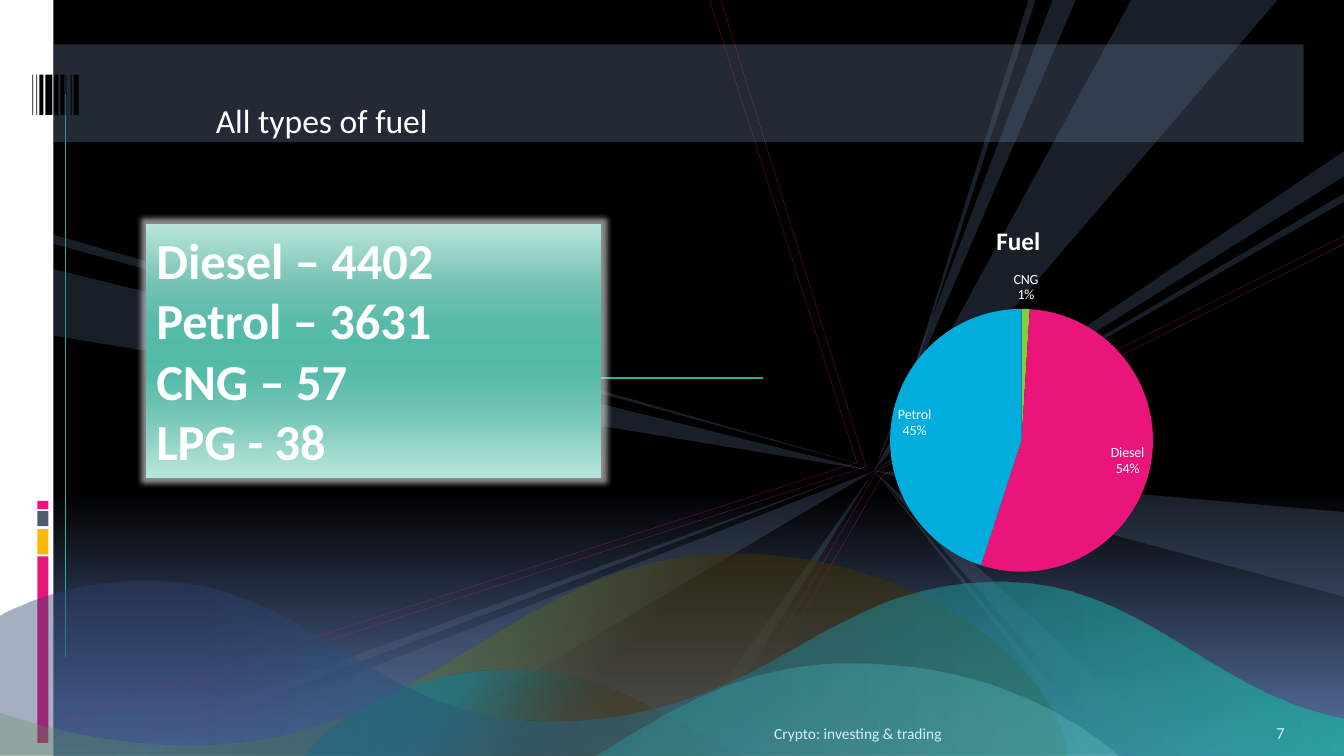
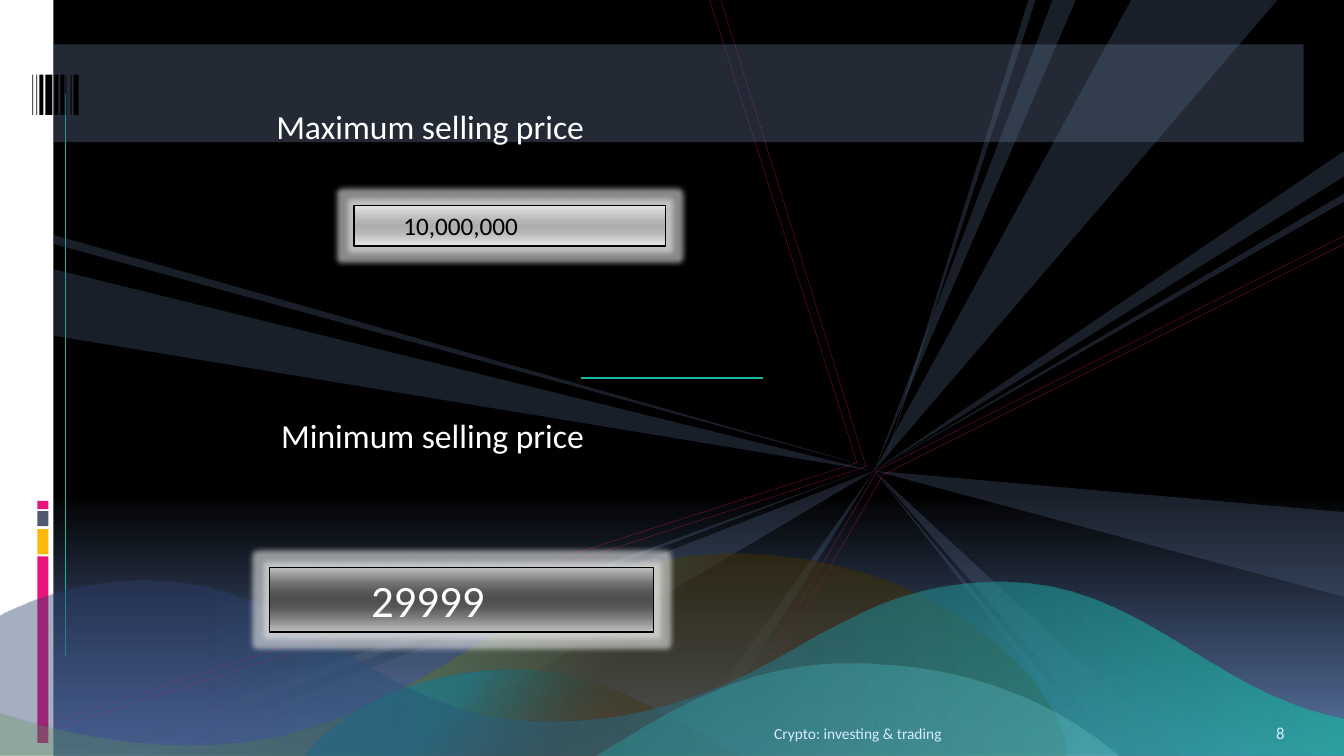
import lxml.etree
import pptx
import pptx.chart.data
import pptx.dml.color
import pptx.enum.chart
import pptx.enum.shapes
import pptx.enum.text
import pptx.oxml.ns
import pptx.util

Inches, Pt, qn = pptx.util.Inches, pptx.util.Pt, pptx.oxml.ns.qn
ALIGN, ANCHOR = pptx.enum.text.PP_ALIGN, pptx.enum.text.MSO_ANCHOR

FONT = "Calibri"
BLACK, WHITE, PALE = "000000", "FFFFFF", "D6ECFF"
PINK, GOLD, SLATE, TEAL = "EA157A", "FEB80A", "4E5B6F", "1AB39F"
GREEN, BLUE, RAY, BAND, BROWN = "7FD13B", "00ADDC", "566989", "586A86", "422F00"
FOOTER = "Crypto: investing & trading"
HUB = 4.67

# left, top, width, height, colour
STRIPES = [
    (0, 0, 0.53, 7.5, WHITE),
    (0.37, 5.52, 0.11, 1.85, PINK),
    (0.37, 5.25, 0.11, 0.25, GOLD),
    (0.37, 5.07, 0.11, 0.15, SLATE),
    (0.37, 4.97, 0.11, 0.08, PINK),
]
# left, width
BARS = [(0.32, 0.01), (0.36, 0.01), (0.39, 0.04), (0.45, 0.07), (0.54, 0.04),
        (0.6, 0.04), (0.65, 0.01), (0.7, 0.01), (0.73, 0.05)]
# two outer corners, then the x of the tip at hub height
RAYS = [
    ((10.2, 0), (10.27, 0), 8.75),
    ((11.22, 0), (12.67, 0), 8.67),
    ((13.33, 5.08), (13.33, 5.92), 8.67),
    ((10.44, 0), (10.67, 0), 8.67),
    ((11.15, 7.5), (11.72, 7.5), 8.67),
    ((10.89, 7.5), (11, 7.5), 8.67),
    ((13.33, 1.5), (13.33, 1.75), 8.67),
    ((13.33, 1.92), (13.33, 2), 8.67),
    ((1.44, 7.5), (3.89, 7.5), 8.67),
    ((0.78, 7.5), (1.11, 7.5), 8.56),
    ((0.53, 2.67), (0.53, 3.33), 8.65),
    ((0.53, 2.33), (0.53, 2.42), 8.76),
    ((6.67, 7.5), (6.89, 7.5), 8.67),
]
THREADS = [
    [(7.04, 7.5), (8.7, 4.67), (13.33, 2.34), (13.33, 2.42), (8.76, 4.71), (7.15, 7.5)],
    [(0.55, 7.15), (0.55, 7.23), (8.59, 4.63), (7.15, 0), (7.04, 0), (8.5, 4.59)],
]
# outline (six numbers make a curve), gradient stops, angle (None is radial)
WAVES = [
    ([(7.23, 5.49), (9.19, 5.48, 10.43, 6.65, 10.57, 7.39), (10.58, 7.5), (0, 7.5),
      (0, 7.07), (0.2, 7.13), (0.72, 7.29, 1.32, 7.4, 2.01, 7.39),
      (4.24, 7.35, 5.14, 5.5, 7.23, 5.49)],
     [(43, BROWN, 50), (73, GREEN, 29)], None),
    ([(5.11, 6.64), (6, 6.65, 6.57, 7.1, 7.24, 7.45), (7.34, 7.5), (3.02, 7.5),
      (3.08, 7.43), (3.43, 7.03, 4.14, 6.64, 5.11, 6.64)],
     [(33, BROWN, 28), (66, "0082A5", 46)], 220),
    ([(8.42, 6.58), (9.6, 6.57, 10.51, 6.99, 11.09, 7.49), (11.1, 7.5), (5.9, 7.5),
      (6.15, 7.35), (6.82, 6.94, 7.51, 6.58, 8.42, 6.58)],
     [(0, PALE, 43), (100, TEAL, 53)], 220),
    ([(1.5, 5.76), (3.04, 5.76, 3.71, 7.13, 5.36, 7.16),
      (6.9, 7.19, 7.81, 6.42, 8.34, 6.18), (8.48, 6.11),
      (8.87, 5.91, 9.36, 5.77, 9.94, 5.77), (11.29, 5.78, 11.97, 6.83, 13.22, 7.11),
      (13.33, 7.13), (13.33, 7.5), (0, 7.5), (0, 6.11),
      (0.43, 5.89, 0.92, 5.75, 1.5, 5.76)],
     [(0, TEAL, 69), (85, "2C3F71", 42)], 180),
]
MINT = [(0, "BBE5DB"), (25, "71C1B2"), (40, "57BBA9"), (50, "53BAA8"),
        (60, "57BBA9"), (75, "74C6B6"), (100, "B9E6DC")]
SILVER = [(0, "E1E1E1"), (40, "B4B4B4"), (50, "ADADAD"), (65, "B4B4B4"), (100, "E7E7E7")]
STEEL = [(0, "C0C0C0"), (25, "707070"), (40, "555555"), (50, "505050"),
         (60, "555555"), (75, "767676"), (100, "C0C0C0")]


def rgb(code):
    return pptx.dml.color.RGBColor.from_string(code)


def node(root, tag, **attrs):
    """Append one XML child with the given attributes."""
    return lxml.etree.SubElement(root, qn(tag), {k: str(v) for k, v in attrs.items()})


def tint(root, code, alpha=100):
    """Append a colour with its opacity in percent."""
    hue = node(root, "a:srgbClr", val=code)
    if alpha < 100:
        node(hue, "a:alpha", val=alpha * 1000)


def blend(elem, fill, stops, angle=90):
    """Turn a fill into a gradient; an angle of None spreads from the lower right."""
    fill.solid()
    solid = next(elem.iter(qn("a:solidFill")))
    grad = lxml.etree.Element(qn("a:gradFill"), rotWithShape="1")
    marks = node(grad, "a:gsLst")
    for pos, *hue in stops:
        tint(node(marks, "a:gs", pos=pos * 1000), *hue)
    if angle is None:
        ring = node(grad, "a:path", path="circle")
        node(ring, "a:fillToRect", l=100000, t=100000)
    else:
        node(grad, "a:lin", ang=angle * 60000, scaled=0)
    solid.getparent().replace(solid, grad)


def paint(shape, code, alpha=100):
    shape.shadow.inherit = False
    shape.fill.solid()
    shape.fill.fore_color.rgb = rgb(code)
    shape.line.fill.background()
    fade(shape, alpha)


def fade(shape, alpha):
    """Set the opacity of the first solid colour of a shape."""
    hue = next(shape.element.iter(qn("a:solidFill")))[0]
    node(hue, "a:alpha", val=alpha * 1000)


def place(shape, box):
    shape.left, shape.top, shape.width, shape.height = map(Inches, box)


def rect(slide, *box):
    kind = pptx.enum.shapes.MSO_SHAPE.RECTANGLE
    return slide.shapes.add_shape(kind, *map(Inches, box))


def rule(slide, *ends):
    line = slide.shapes.add_connector(
        pptx.enum.shapes.MSO_CONNECTOR.STRAIGHT, *map(Inches, ends))
    line.line.color.rgb = rgb(TEAL)
    line.line.width = Pt(0.94)
    node(line.element.spPr, "a:effectLst")


def trace(steps, count=16):
    """Flatten corners and cubic curves into points."""
    spots = []
    for step in steps:
        if len(step) == 2:
            spots.append(step)
            continue
        knots = [spots[-1], step[:2], step[2:4], step[4:]]
        for i in range(1, count + 1):
            t = i / count
            parts = [(1 - t) ** 3, 3 * t * (1 - t) ** 2, 3 * t * t * (1 - t), t ** 3]
            spots.append(tuple(sum(p * k[axis] for p, k in zip(parts, knots))
                               for axis in (0, 1)))
    return spots


def free(slide, steps):
    first, *rest = [tuple(map(Inches, spot)) for spot in trace(steps)]
    maker = slide.shapes.build_freeform(*first)
    maker.add_line_segments(rest, close=True)
    shape = maker.convert_to_shape()
    shape.shadow.inherit = False
    return shape


def write(shape, *lines, size=24, color=WHITE, bold=False, align=ALIGN.LEFT,
          anchor=ANCHOR.TOP, inset=0.1):
    frame = shape.text_frame
    frame.word_wrap = True
    frame.auto_size = pptx.enum.text.MSO_AUTO_SIZE.NONE
    frame.vertical_anchor = anchor
    frame.margin_left, frame.margin_right = Inches(inset), Inches(0.1)
    frame.margin_top = frame.margin_bottom = Inches(0.05)
    for i, line in enumerate(lines):
        para = frame.add_paragraph() if i else frame.paragraphs[0]
        para.alignment = align
        para.space_before = Pt(0)
        props = para._p.get_or_add_pPr()
        props.set("marL", "0")
        props.set("indent", "0")
        node(props, "a:buNone")
        run = para.add_run()
        run.text = line
        font = run.font
        font.name, font.size, font.bold = FONT, Pt(size), bold
        font.color.rgb = rgb(color)


def label(slide, box, text, **style):
    write(slide.shapes.add_textbox(*map(Inches, box)), text, **style)


def panel(shape, stops, edge=None):
    """Give a shape a gradient and a soft light glow."""
    shape.shadow.inherit = False
    blend(shape.element, shape.fill, stops)
    if edge:
        shape.line.color.rgb = rgb(edge)
        shape.line.width = Pt(0.94)
    else:
        shape.line.fill.background()
    effects = next(shape.element.iter(qn("a:effectLst")))
    tint(node(effects, "a:glow", rad=Pt(8)), "E6E6E6", 60)


def scene(slide):
    """Draw the backdrop that all slides share."""
    for *box, code in STRIPES:
        paint(rect(slide, *box), code)
    rule(slide, 0.65, 0.93, 0.65, 6.52)
    for steps in THREADS:
        thread = free(slide, steps)
        thread.fill.background()
        thread.line.color.rgb = rgb(PINK)
        thread.line.width = Pt(0.25)
        fade(thread, 53)
    for near, far, tip in RAYS:
        paint(free(slide, [near, far, (tip, HUB)]), RAY, 30)
    paint(rect(slide, 0.53, 0.44, 12.4, 0.97), BAND, 40)
    for left, width in BARS:
        paint(rect(slide, left, 0.74, width, 0.4), BLACK)
    for steps, stops, angle in WAVES:
        wave = free(slide, steps)
        blend(wave.element, wave.fill, stops, angle)
        wave.line.fill.background()
    rule(slide, 5.76, 3.75, 7.57, 3.75)


def share(slide, master):
    """Move the backdrop from a slide to the master."""
    scene(slide)
    drawn = [s for s in slide.shapes if not s.is_placeholder]
    for i, shape in enumerate(drawn, 100):
        next(shape.element.iter(qn("p:cNvPr"))).set("id", str(i))
        master.shapes.element.append(shape.element)
    blend(master.element, master.background.fill,
          [(0, BLACK), (65, BLACK), (100, "5B77A8")])


def head(slide, box, text):
    place(slide.shapes.title, box)
    write(slide.shapes.title, text)


def foot(slide, number):
    label(slide, (1.33, 7.02, 8.11, 0.4), FOOTER, size=11, color=PALE,
          align=ALIGN.RIGHT, anchor=ANCHOR.BOTTOM)
    label(slide, (12.56, 7.02, 0.67, 0.4), str(number), size=12, color=PALE,
          anchor=ANCHOR.BOTTOM)


def pie(slide, box, title, data, hues):
    feed = pptx.chart.data.CategoryChartData()
    feed.categories = list(data)
    feed.add_series("Series 1", list(data.values()))
    chart = slide.shapes.add_chart(
        pptx.enum.chart.XL_CHART_TYPE.PIE, *map(Inches, box), feed).chart
    chart.has_legend = False
    chart.font.name, chart.font.size = FONT, Pt(10)
    chart.font.color.rgb = rgb(WHITE)
    chart.has_title = True
    chart.chart_title.text_frame.text = title
    font = chart.chart_title.text_frame.paragraphs[0].runs[0].font
    font.name, font.size, font.bold = FONT, Pt(18), True
    font.color.rgb = rgb(WHITE)
    plot = chart.plots[0]
    plot.vary_by_categories = True
    for i, hue in enumerate(hues):
        fill = plot.series[0].points[i].format.fill
        fill.solid()
        fill.fore_color.rgb = rgb(hue)
    plot.has_data_labels = True
    marks = plot.data_labels
    marks.show_value = False
    marks.show_percentage = marks.show_category_name = True
    marks.position = pptx.enum.chart.XL_LABEL_POSITION.BEST_FIT
    gap = lxml.etree.Element(qn("c:separator"))
    gap.text = "\n"
    list(chart.element.iter(qn("c:showBubbleSize")))[-1].addnext(gap)
    area = next(chart.element.iter(qn("c:plotArea")))
    for old in area.findall(qn("c:layout")):
        area.remove(old)
    layout = lxml.etree.Element(qn("c:layout"))
    area.insert(0, layout)
    manual = node(layout, "c:manualLayout")
    for tag, val in [("layoutTarget", "inner"), ("xMode", "edge"), ("yMode", "edge"),
                     ("x", 0.3), ("y", 0.25), ("w", 0.41), ("h", 0.63)]:
        node(manual, "c:" + tag, val=val)


def fuel(slide):
    head(slide, (2.04, 0.94, 3.16, 0.5), "All types of fuel")
    body = slide.placeholders[1]
    place(body, (1.45, 2.22, 4.51, 2.52))
    panel(body, MINT)
    write(body, "Diesel – 4402", "Petrol – 3631", "CNG – 57", "LPG - 38",
          size=36, bold=True)
    pie(slide, (6.87, 2.03, 6.46, 4.14), "Fuel",
        {"CNG": 1, "Diesel": 54, "LPG": 0, "Petrol": 45}, [GREEN, PINK, GOLD, BLUE])
    foot(slide, 7)


def price(slide):
    head(slide, (2.64, 1, 6.46, 0.5), "Maximum selling price")
    label(slide, (2.69, 4.07, 5.09, 0.5), "Minimum selling price")
    top = rect(slide, 3.51, 2.04, 3.09, 0.4)
    panel(top, SILVER, BLACK)
    write(top, "10,000,000", size=18, color=BLACK, inset=0.49)
    low = rect(slide, 2.67, 5.63, 3.81, 0.64)
    panel(low, STEEL, BLACK)
    write(low, "29999", size=32, inset=1.01)
    foot(slide, 8)


def main():
    deck = pptx.Presentation()
    deck.slide_width, deck.slide_height = Inches(13.33), Inches(7.5)
    first = deck.slides.add_slide(deck.slide_layouts[1])
    share(first, deck.slide_master)
    fuel(first)
    price(deck.slides.add_slide(deck.slide_layouts[5]))
    deck.save("out.pptx")


if __name__ == "__main__":
    main()
